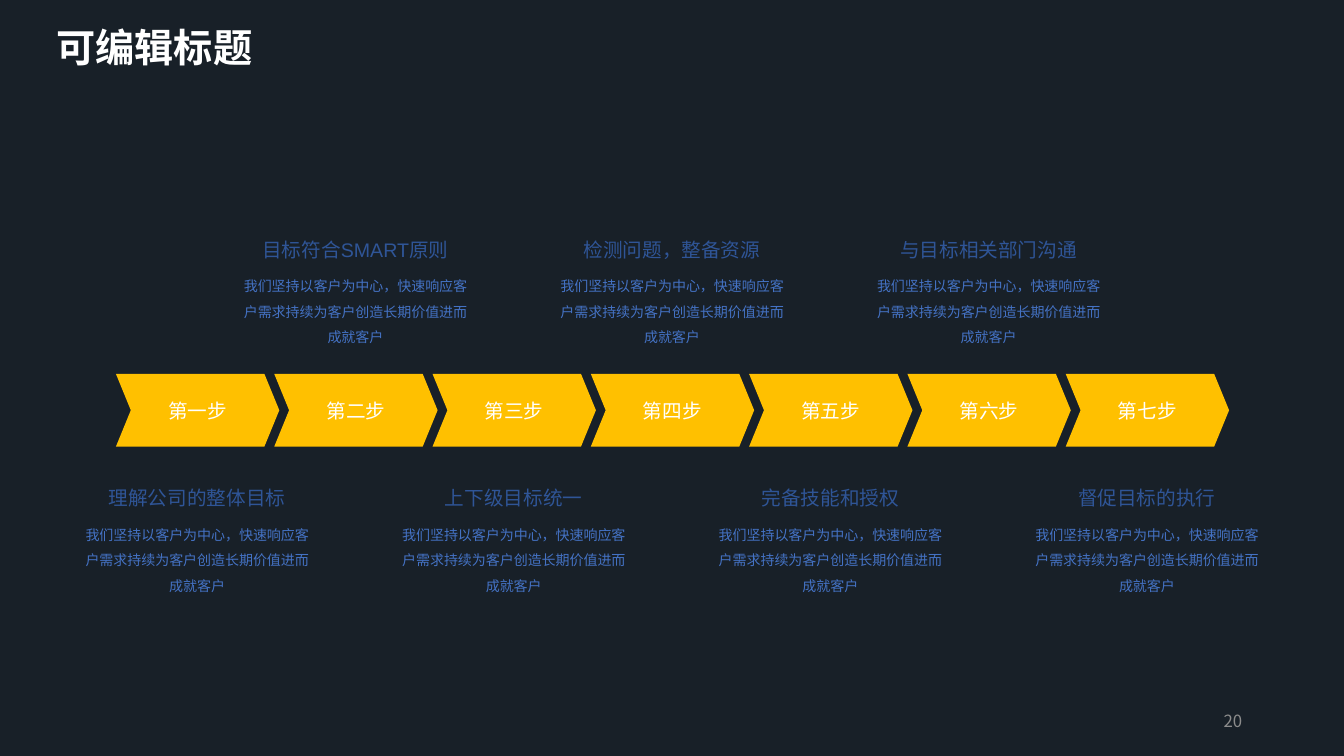
from lxml import etree
from pptx import Presentation
from pptx.dml.color import RGBColor
from pptx.enum.shapes import MSO_SHAPE as Shape
from pptx.enum.text import MSO_ANCHOR as Anchor, MSO_AUTO_SIZE as AutoSize, PP_ALIGN as Align
from pptx.oxml.ns import qn
from pptx.util import Inches, Pt

TITLE = "可编辑标题"
PAGE_NUMBER = "20"
DETAIL = "我们坚持以客户为中心，快速响应客户需求持续为客户创造长期价值进而成就客户"
STEPS = [
    ("第一步", "理解公司的整体目标"),
    ("第二步", "目标符合SMART原则"),
    ("第三步", "上下级目标统一"),
    ("第四步", "检测问题，整备资源"),
    ("第五步", "完备技能和授权"),
    ("第六步", "与目标相关部门沟通"),
    ("第七步", "督促目标的执行"),
]
CJK = "Noto Sans CJK SC"

# Layout in inches
STEP_PITCH = 1.57
CHEVRON_LEFT, CHEVRON_TOP, CHEVRON_W, CHEVRON_H = 1.15, 3.71, 1.62, 0.72
NOTE_LEFT, NOTE_W, NOTE_H = 0.75, 2.41, 1.27
NOTE_TOPS = (4.66, 2.19)  # below the arrows, above the arrows


def color(hex_code):
    return RGBColor.from_string(hex_code)


def add_run(paragraph, text, size, hex_code, latin="Arial", east_asian=CJK, bold=False):
    run = paragraph.add_run()
    run.text = text
    font = run.font
    font.size, font.name, font.bold = Pt(size), latin, bold
    font.color.rgb = color(hex_code)
    etree.SubElement(run._r.get_or_add_rPr(), qn("a:ea"), typeface=east_asian)


def add_text_box(left, top, width, height):
    box = slide.shapes.add_textbox(Inches(left), Inches(top), Inches(width), Inches(height))
    box.text_frame.word_wrap = True
    return box.text_frame


prs = Presentation()
prs.slide_width, prs.slide_height = Inches(13.33), Inches(7.5)
slide = prs.slides.add_slide(prs.slide_layouts[5])
slide.background.fill.solid()
slide.background.fill.fore_color.rgb = color("182028")

# Title
title = slide.shapes.title
title.left, title.top, title.width, title.height = map(Inches, (0.46, 0.18, 5.1, 0.57))
heading = title.text_frame
heading.vertical_anchor = Anchor.TOP
heading.auto_size = AutoSize.SHAPE_TO_FIT_TEXT
heading.paragraphs[0].alignment = Align.LEFT
add_run(heading.paragraphs[0], TITLE, 28, "FFFFFF", latin="Roboto", bold=True)

for i, (step, goal) in enumerate(STEPS):
    offset = i * STEP_PITCH

    # Step arrow
    chevron = slide.shapes.add_shape(
        Shape.CHEVRON, Inches(CHEVRON_LEFT + offset), Inches(CHEVRON_TOP),
        Inches(CHEVRON_W), Inches(CHEVRON_H))
    chevron.adjustments[0] = 0.205
    chevron.shadow.inherit = False
    chevron.fill.solid()
    chevron.fill.fore_color.rgb = color("FFC000")
    chevron.line.fill.background()
    chevron.text_frame.vertical_anchor = Anchor.MIDDLE
    label = chevron.text_frame.paragraphs[0]
    label.alignment = Align.CENTER
    add_run(label, step, 14, "FFFFFF", east_asian="Arial")

    # Goal and detail, alternately below and above
    note = add_text_box(NOTE_LEFT + offset, NOTE_TOPS[i % 2], NOTE_W, NOTE_H)
    note.auto_size = AutoSize.SHAPE_TO_FIT_TEXT
    goal_line, detail_line = note.paragraphs[0], note.add_paragraph()
    for line in (goal_line, detail_line):
        line.alignment, line.line_spacing, line.space_after = Align.CENTER, 1.5, Pt(6)
    add_run(goal_line, goal, 14, "2F5597", east_asian="Arial")
    add_run(detail_line, DETAIL, 10, "4472C4")

# Page number
page = add_text_box(9.42, 6.95, 3, 0.4)
page.vertical_anchor = Anchor.MIDDLE
page.paragraphs[0].alignment = Align.RIGHT
add_run(page.paragraphs[0], PAGE_NUMBER, 12, "8C8C8C", latin=CJK)

prs.save("out.pptx")
